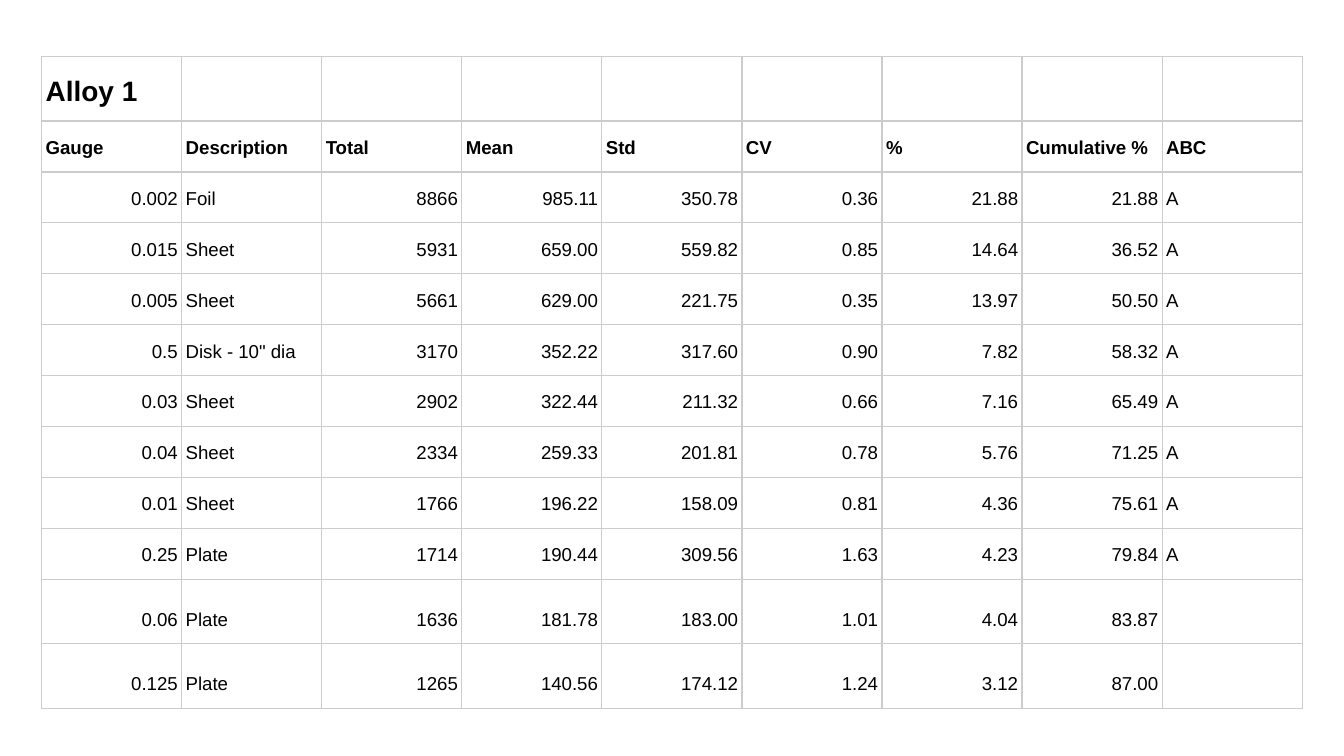
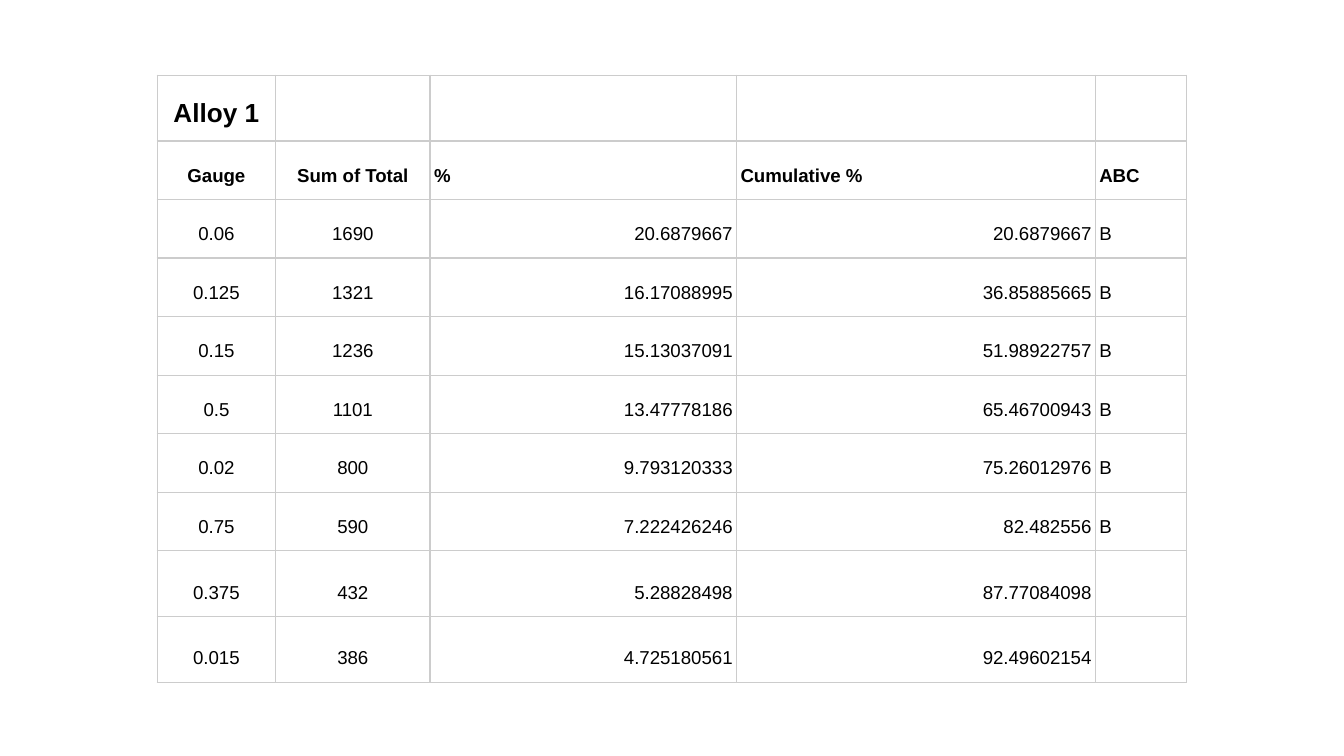
from lxml import etree
from pptx import Presentation
from pptx.dml.color import RGBColor
from pptx.enum import text
from pptx.oxml import ns
from pptx.util import Inches, Pt

BLACK = RGBColor(0x00, 0x00, 0x00)
GRID = RGBColor(0xCC, 0xCC, 0xCC)
FONT = "Arial"
ALIGN = {"l": text.PP_ALIGN.LEFT, "c": text.PP_ALIGN.CENTER, "r": text.PP_ALIGN.RIGHT}

CLASS_A = {
    "title": "Alloy 1", "title_size": 15, "left": 0.31, "top": 0.42,
    "widths": [9.38 / 9] * 9, "heights": [0.21] * 12,
    "head_align": "lllllllll", "body_align": "rlrrrrrrl",
    "head": ["Gauge", "Description", "Total", "Mean", "Std", "CV", "%", "Cumulative %", "ABC"],
    "body": [
        ("0.002", "Foil", "8866", "985.11", "350.78", "0.36", "21.88", "21.88", "A"),
        ("0.015", "Sheet", "5931", "659.00", "559.82", "0.85", "14.64", "36.52", "A"),
        ("0.005", "Sheet", "5661", "629.00", "221.75", "0.35", "13.97", "50.50", "A"),
        ("0.5", 'Disk - 10" dia', "3170", "352.22", "317.60", "0.90", "7.82", "58.32", "A"),
        ("0.03", "Sheet", "2902", "322.44", "211.32", "0.66", "7.16", "65.49", "A"),
        ("0.04", "Sheet", "2334", "259.33", "201.81", "0.78", "5.76", "71.25", "A"),
        ("0.01", "Sheet", "1766", "196.22", "158.09", "0.81", "4.36", "75.61", "A"),
        ("0.25", "Plate", "1714", "190.44", "309.56", "1.63", "4.23", "79.84", "A"),
        ("0.06", "Plate", "1636", "181.78", "183.00", "1.01", "4.04", "83.87", ""),
        ("0.125", "Plate", "1265", "140.56", "174.12", "1.24", "3.12", "87.00", ""),
    ],
}
CLASS_B = {
    "title": "Alloy 1", "title_size": 14, "left": 1.17, "top": 0.56,
    "widths": [0.88, 1.15, 2.28, 2.67, 0.68],
    "heights": [0.49] + [3.05 / 7] * 7 + [0.49] * 2,
    "head_align": "cclll", "body_align": "ccrrl",
    "head": ["Gauge", "Sum of Total", "%", "Cumulative %", "ABC"],
    "body": [
        ("0.06", "1690", "20.6879667", "20.6879667", "B"),
        ("0.125", "1321", "16.17088995", "36.85885665", "B"),
        ("0.15", "1236", "15.13037091", "51.98922757", "B"),
        ("0.5", "1101", "13.47778186", "65.46700943", "B"),
        ("0.02", "800", "9.793120333", "75.26012976", "B"),
        ("0.75", "590", "7.222426246", "82.482556", "B"),
        ("0.375", "432", "5.28828498", "87.77084098", ""),
        ("0.015", "386", "4.725180561", "92.49602154", ""),
    ],
}


def draw_borders(cell):
    properties = cell._tc.get_or_add_tcPr()
    for position, side in enumerate(("lnL", "lnR", "lnT", "lnB")):
        line = etree.Element(ns.qn(f"a:{side}"), w=str(Pt(0.75)))
        fill = etree.SubElement(line, ns.qn("a:solidFill"))
        etree.SubElement(fill, ns.qn("a:srgbClr"), val=str(GRID))
        properties.insert(position, line)


def fill_cell(cell, words, align, size, bold):
    cell.margin_left = cell.margin_right = Inches(0.03)
    cell.margin_top = cell.margin_bottom = Inches(0.1)
    cell.fill.background()
    draw_borders(cell)
    paragraph = cell.text_frame.paragraphs[0]
    if not words:
        ending = etree.SubElement(paragraph._p, ns.qn("a:endParaRPr"), sz="1800")
        etree.SubElement(ending, ns.qn("a:latin"), typeface=FONT)
        return
    cell.vertical_anchor = text.MSO_ANCHOR.BOTTOM
    paragraph.text = words
    paragraph.alignment = ALIGN[align]
    paragraph.line_spacing = 1.15
    font = paragraph.runs[0].font
    font.name, font.size, font.bold = FONT, Pt(size), bold
    font.color.rgb = BLACK


def add_alloy_table(slide, alloy):
    widths, heights = alloy["widths"], alloy["heights"]
    title_row = [alloy["title"]] + [""] * (len(widths) - 1)
    rows = [(title_row, alloy["head_align"], alloy["title_size"], True),
            (alloy["head"], alloy["head_align"], 10, True)]
    rows += [(values, alloy["body_align"], 10, False) for values in alloy["body"]]

    table = slide.shapes.add_table(
        len(rows), len(widths), Inches(alloy["left"]), Inches(alloy["top"]),
        Inches(sum(widths)), Inches(sum(heights))).table
    table.first_row = table.horz_banding = False
    for column, width in zip(table.columns, widths):
        column.width = Inches(width)
    for row, height, (values, aligns, size, bold) in zip(table.rows, heights, rows):
        row.height = Inches(height)
        for cell, words, align in zip(row.cells, values, aligns):
            fill_cell(cell, words, align, size, bold)


def main():
    deck = Presentation()
    deck.slide_width = Inches(10)
    deck.slide_height = deck.slide_width * 9 // 16
    for alloy in (CLASS_A, CLASS_B):
        add_alloy_table(deck.slides.add_slide(deck.slide_layouts[6]), alloy)
    deck.save("out.pptx")


if __name__ == "__main__":
    main()
